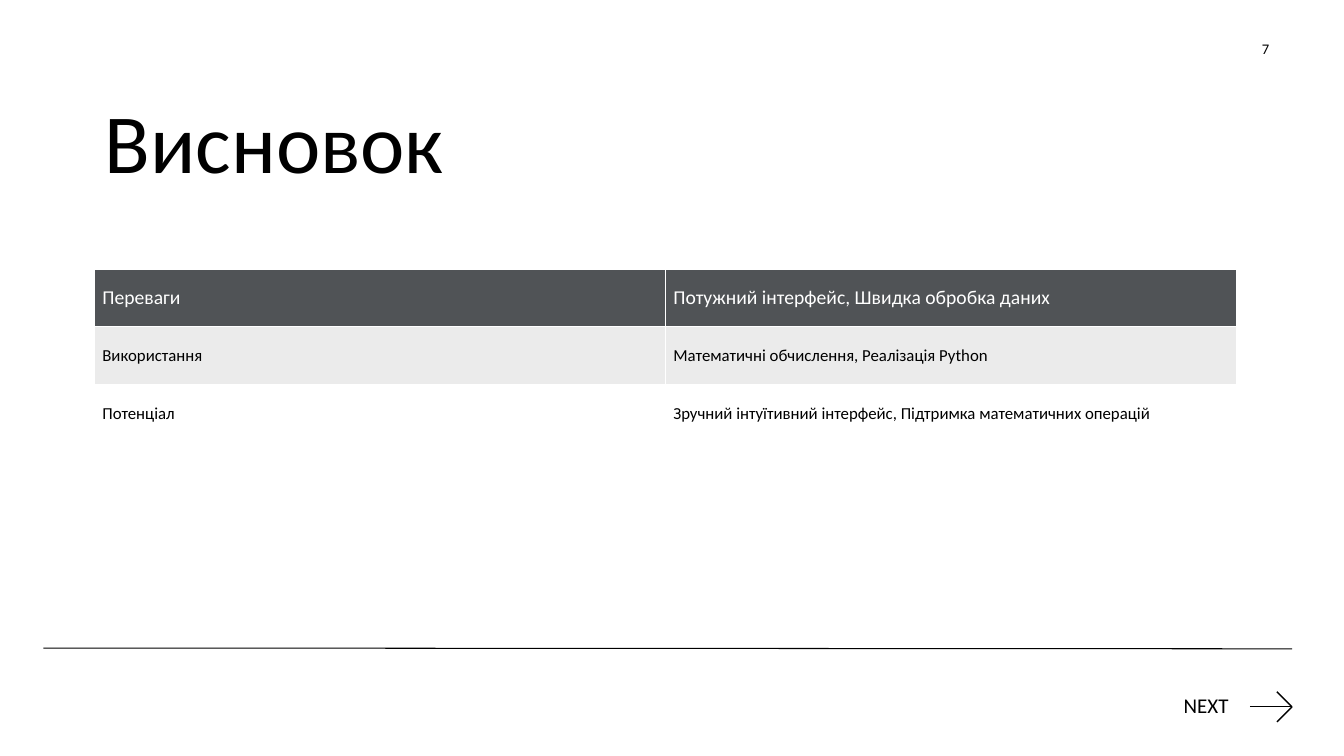
"""Build the conclusion slide."""
import pptx
import pptx.dml.color
import pptx.enum.shapes
import pptx.enum.text
import pptx.oxml
import pptx.oxml.ns
import pptx.util

Cm = pptx.util.Cm
Pt = pptx.util.Pt
RGBColor = pptx.dml.color.RGBColor
ANCHOR = pptx.enum.text.MSO_ANCHOR

BLACK = RGBColor(0x00, 0x00, 0x00)
WHITE = RGBColor(0xFF, 0xFF, 0xFF)
SLATE = RGBColor(0x50, 0x53, 0x56)
MIST = RGBColor(0xEB, 0xEB, 0xEB)
FONT = "Calibri"

ROWS = [
    ("Переваги", "Потужний інтерфейс, Швидка обробка даних"),
    ("Використання", "Математичні обчислення, Реалізація Python"),
    ("Потенціал", "Зручний інтуїтивний інтерфейс, Підтримка математичних операцій"),
]
ROW_STYLES = [(SLATE, WHITE, 14), (MIST, BLACK, 12), (WHITE, BLACK, 12)]


def style_text(p, size, color=BLACK):
    """Set the font of a left-aligned paragraph."""
    p.alignment = pptx.enum.text.PP_ALIGN.LEFT
    p.font.name = FONT
    p.font.size = Pt(size)
    p.font.bold = False
    p.font.color.rgb = color


def add_line(s, x1, y1, x2, y2, width=1):
    """Draw a plain black line between two points in centimetres."""
    line = s.shapes.add_connector(
        pptx.enum.shapes.MSO_CONNECTOR.STRAIGHT, Cm(x1), Cm(y1), Cm(x2), Cm(y2))
    line.line.color.rgb = BLACK
    line.line.width = Pt(width)
    pptx.oxml.ns.qn("a:effectLst")
    line._element.spPr.append(pptx.oxml.parse_xml(
        f'<a:effectLst {pptx.oxml.ns.nsdecls("a")}/>'))


def add_label(s, box, text, size, inset=0.25):
    """Add a one-line text box and return its paragraph."""
    tf = s.shapes.add_textbox(*map(Cm, box)).text_frame
    tf.word_wrap = True
    tf.margin_left = tf.margin_right = Cm(inset)
    p = tf.paragraphs[0]
    p.text = text
    style_text(p, size)
    return p


def add_title(s, box, text):
    """Place and format the title placeholder."""
    sp = s.shapes.title
    sp.left, sp.top, sp.width, sp.height = map(Cm, box)
    tf = sp.text_frame
    tf.text = text
    tf.vertical_anchor = ANCHOR.TOP
    tf.auto_size = pptx.enum.text.MSO_AUTO_SIZE.NONE
    tf.margin_left = Cm(0.1)
    tf.margin_top = Cm(0.25)
    style_text(tf.paragraphs[0], 60)


def add_borders(cell):
    """Give a cell thin white borders on every side."""
    for side in "LRTB":
        cell._tc.get_or_add_tcPr().append(pptx.oxml.parse_xml(
            f'<a:ln{side} {pptx.oxml.ns.nsdecls("a")} w="12700"><a:solidFill>'
            f'<a:srgbClr val="{WHITE}"/></a:solidFill></a:ln{side}>'))


def add_summary(s, box):
    """Add the summary table with equal rows and columns."""
    table = s.shapes.add_table(len(ROWS), len(ROWS[0]), *map(Cm, box)).table
    table.first_row = table.horz_banding = False
    for i, (texts, (fill, color, size)) in enumerate(zip(ROWS, ROW_STYLES)):
        for j, text in enumerate(texts):
            cell = table.cell(i, j)
            add_borders(cell)
            cell.fill.solid()
            cell.fill.fore_color.rgb = fill
            cell.vertical_anchor = ANCHOR.MIDDLE
            cell.margin_left = cell.margin_right = Cm(0.2)
            cell.margin_top = cell.margin_bottom = Cm(0.2)
            cell.text = text
            style_text(cell.text_frame.paragraphs[0], size, color)


def add_footer(s, box):
    """Add the rule with the NEXT label and its arrow below."""
    left, top, width, height = box
    right, bottom = left + width, top + height
    add_line(s, left, top, right, top + 0.02, 0.75)
    tip_y, barb = bottom - 0.38, 0.38
    add_line(s, right - 1.06, tip_y, right, tip_y)
    for dy in (-barb, barb):
        add_line(s, right - barb, tip_y + dy, right, tip_y)
    p = add_label(s, (right - 2.83, tip_y - 0.41, 2.1, 0.84), "NEXT", 15, 0.1)
    p.line_spacing = 0.9


def main():
    """Build and save the slide."""
    prs = pptx.Presentation()
    prs.slide_width, prs.slide_height = Cm(33.87), Cm(19.05)
    s = prs.slides.add_slide(prs.slide_layouts[5])
    add_title(s, (2.54, 2, 29, 3.66), "Висновок")
    add_label(s, (31.55, 0.89, 1.02, 1), "7", 10.5)
    add_summary(s, (2.38, 6.78, 28.78, 4.37))
    add_footer(s, (1.09, 16.33, 31.47, 1.86))
    prs.save("out.pptx")


if __name__ == "__main__":
    main()
